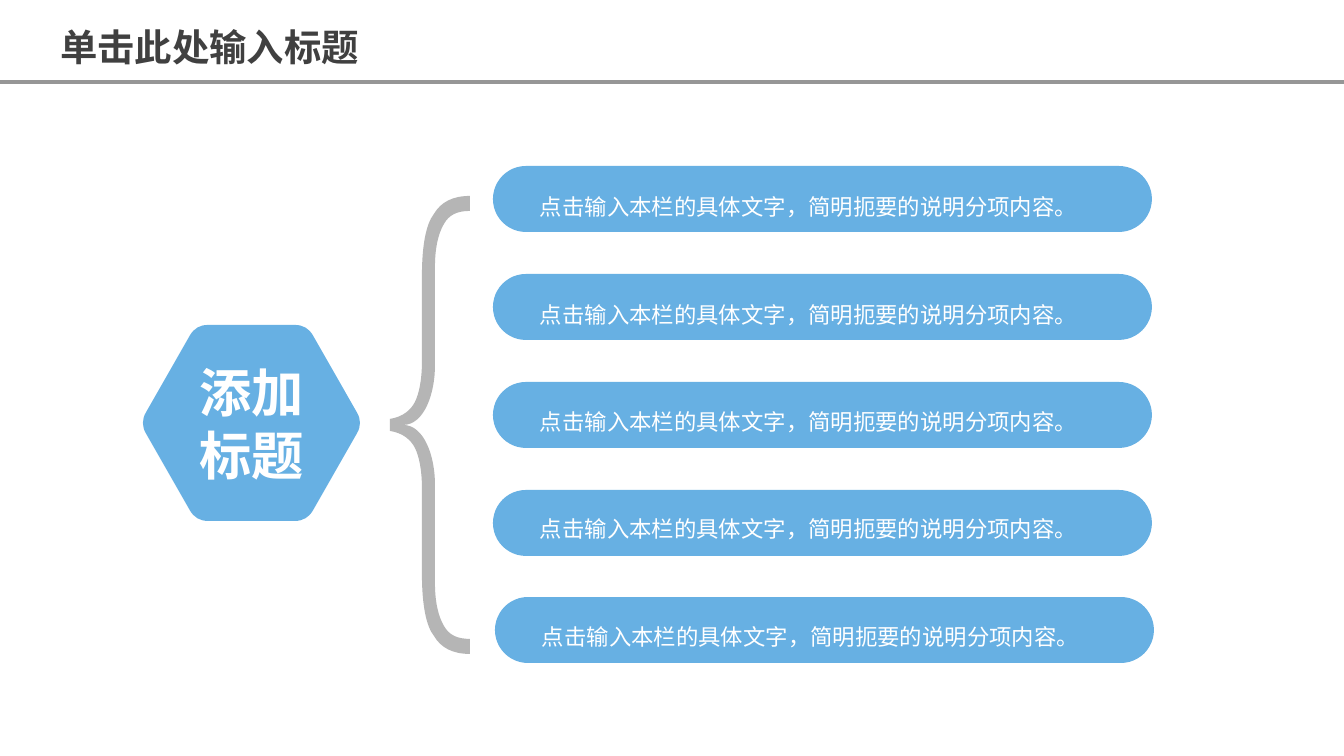
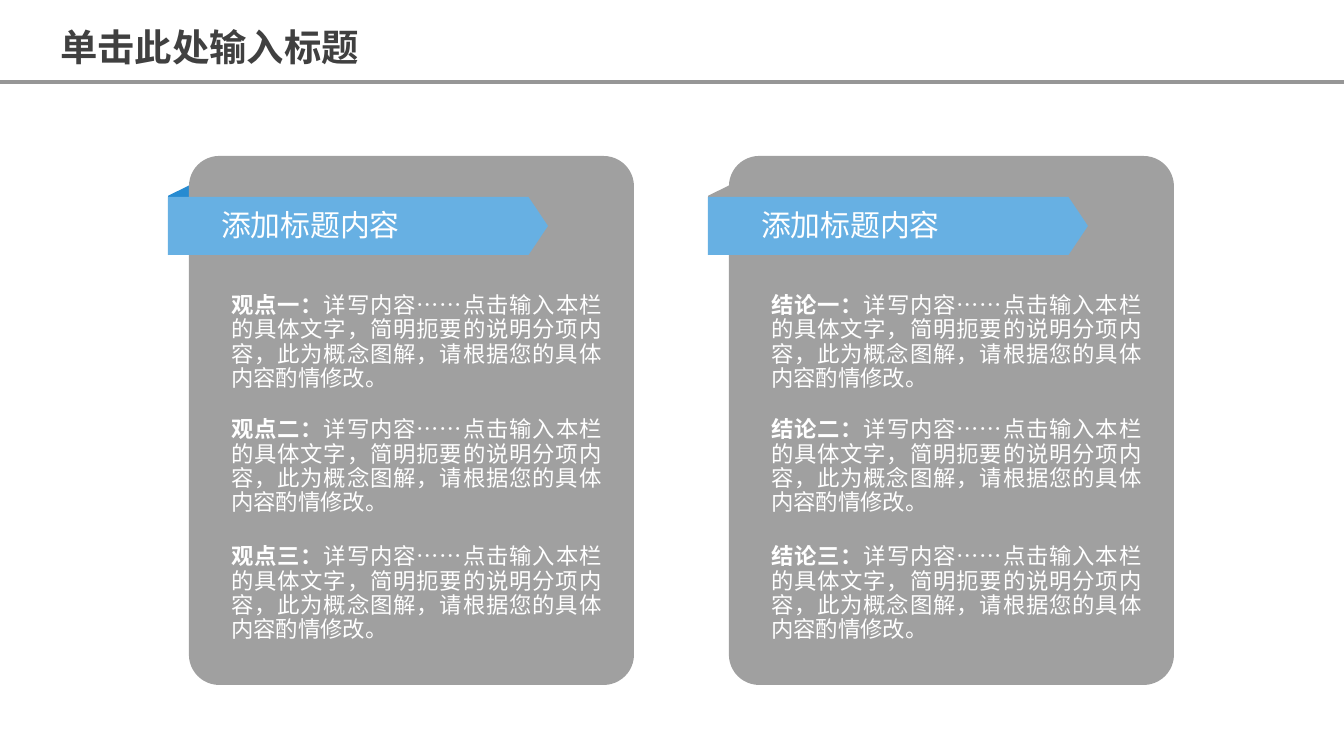
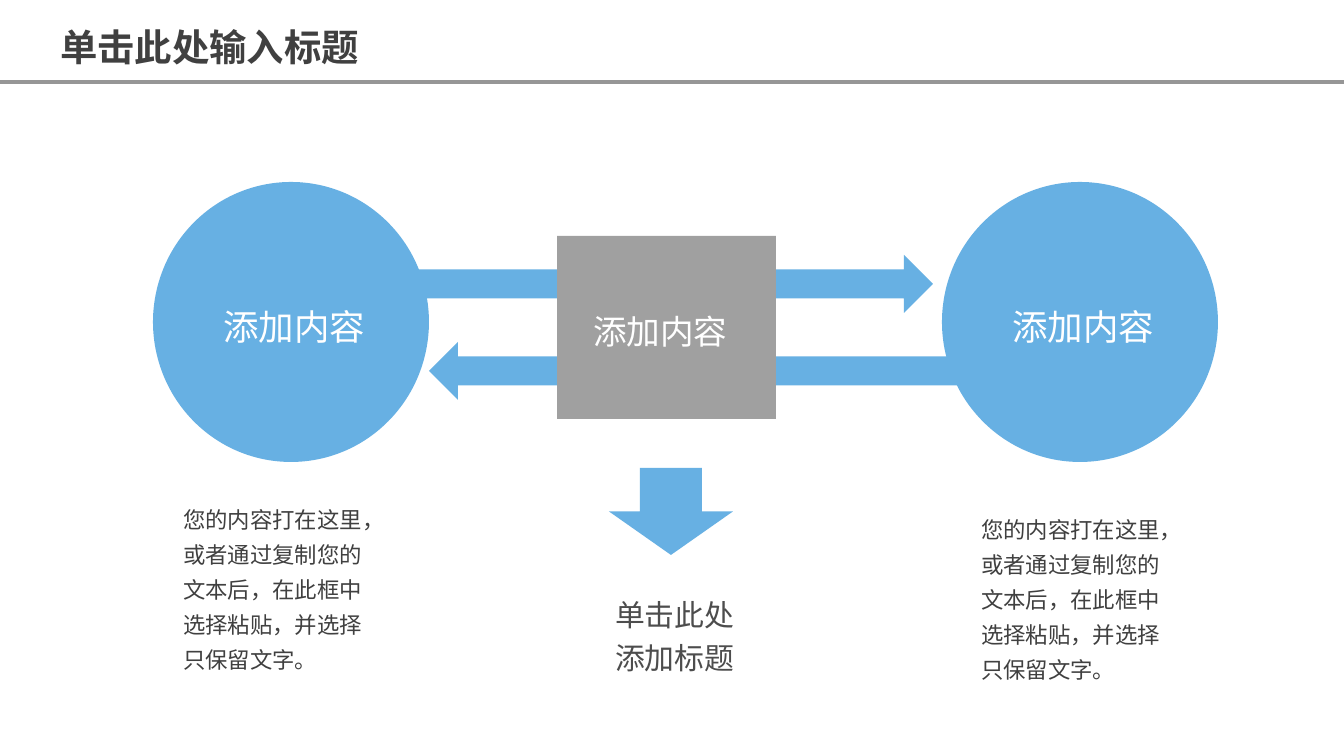
from math import dist

from lxml import etree
from pptx import Presentation
from pptx import util as u
from pptx.dml.color import RGBColor
from pptx.enum import lang, shapes, text
from pptx.oxml.ns import qn

PX = 914400 / 134.4
FONT = "Noto Sans CJK SC"
BLUE, DEEP_BLUE = "67B0E3", "278BD1"
GRAY, BRACE_GRAY, RULE_GRAY = "A0A0A0", "B5B5B5", "969696"
WHITE, INK, CAPTION_INK = "FFFFFF", "404040", "4D4D4D"
INSET = (14, 7)

ITEM = "点击输入本栏的具体文字，简明扼要的说明分项内容。"
DETAIL = "详写内容……点击输入本栏的具体文字，简明扼要的说明分项内容，此为概念图解，请根据您的具体内容酌情修改。"
NOTE = "您的内容打在这里，或者通过复制您的文本后，在此框中选择粘贴，并选择只保留文字。"

HEXAGON = [(140, 423), (196, 325), (307, 325), (363, 423), (307, 521), (196, 521)]
BRACE_MIDDLE = 425
BRACE_HALF = [
    [(403, 425), (425, 425), (435, 392), (435, 366)],
    [(435, 366), (435, 267)],
    [(435, 267), (435, 249), (438, 234), (444, 224)],
    [(444, 224), (449, 215), (457, 211), (470, 211)],
    [(470, 211), (470, 196)],
    [(470, 196), (453, 196), (441, 202), (434, 214)],
    [(434, 214), (426, 224), (422, 246), (422, 276)],
    [(422, 276), (422, 362)],
    [(422, 362), (422, 380), (419, 394), (415, 402)],
    [(415, 402), (411, 410), (403, 417), (390, 419)],
]


def emu(*lengths):
    return [u.Emu(round(length * PX)) for length in lengths]


def color(code):
    return RGBColor.from_string(code)


def paint(shape, fill):
    shape.shadow.inherit = False
    shape.fill.solid()
    shape.fill.fore_color.rgb = color(fill)
    shape.line.fill.background()


def add_block(page, kind, at, fill, adjustments=(), flip=False):
    block = page.shapes.add_shape(kind, *emu(*at))
    for index, value in enumerate(adjustments):
        block.adjustments[index] = value
    if flip:
        block.element.spPr.find(qn("a:xfrm")).set("flipH", "1")
    paint(block, fill)
    return block


def write(frame, runs, size, ink, inset, spacing, align):
    frame.word_wrap = True
    frame.margin_left, frame.margin_top = emu(*inset)
    frame.margin_right, frame.margin_bottom = emu(min(inset[0], INSET[0]), inset[1])
    para = frame.paragraphs[0]
    para.alignment = align
    para.line_spacing = spacing
    for words, bold in runs:
        span = para.add_run()
        span.text = words
        font = span.font
        font.name, font.size, font.bold = FONT, u.Pt(size), bold
        font.color.rgb = color(ink)
        font.language_id = lang.MSO_LANGUAGE_ID.SIMPLIFIED_CHINESE
        east_asian = etree.Element(qn("a:ea"), typeface=FONT)
        font._element.find(qn("a:latin")).addnext(east_asian)


def add_text(page, at, runs, size, ink, inset=(0, 0), spacing=None, align=text.PP_ALIGN.LEFT):
    box = page.shapes.add_textbox(*emu(*at))
    write(box.text_frame, runs, size, ink, inset, spacing, align)
    box.text_frame.auto_size = text.MSO_AUTO_SIZE.SHAPE_TO_FIT_TEXT


def add_label_block(page, kind, at, fill, size, indent):
    block = add_block(page, kind, at, fill)
    block.text_frame.vertical_anchor = text.MSO_ANCHOR.MIDDLE
    write(block.text_frame, [("添加内容", False)], size, WHITE, (indent, 7), 1.2, text.PP_ALIGN.LEFT)


def between(start, end, share):
    return tuple(a + (b - a) * share for a, b in zip(start, end))


def cubic(start, control, end):
    return [start, between(start, control, 2 / 3), between(end, control, 2 / 3), end]


def rounded(corners, cut):
    segments = []
    for index, corner in enumerate(corners):
        before, after = corners[index - 1], corners[(index + 1) % len(corners)]
        start = between(corner, before, cut / dist(corner, before))
        end = between(corner, after, cut / dist(corner, after))
        first, second = between(start, corner, 0.5), between(corner, end, 0.5)
        middle = between(first, second, 0.5)
        if segments:
            segments.append([segments[-1][-1], start])
        segments += [cubic(start, first, middle), cubic(middle, second, end)]
    return segments


def add_outline(page, segments, fill):
    builder = page.shapes.build_freeform(*emu(*segments[0][0]))
    for segment in segments:
        builder.add_line_segments([emu(*point) for point in segment[1:]], close=False)
    builder.add_line_segments([], close=True)
    outline = builder.convert_to_shape()
    lines = iter(list(outline.element.iter(qn("a:lnTo"))))
    for segment in segments:
        first, *others = [next(lines) for point in segment[1:]]
        if others:
            first.tag = qn("a:cubicBezTo")
            for line in others:
                first.append(line[0])
                line.getparent().remove(line)
    paint(outline, fill)


def add_page(deck):
    page = deck.slides.add_slide(deck.slide_layouts[6])
    rule = page.shapes.add_connector(shapes.MSO_CONNECTOR.STRAIGHT, *emu(0, 82, 1344, 82))
    rule.line.color.rgb = color(RULE_GRAY)
    rule.line.width = u.Pt(1.75)
    etree.SubElement(rule.element.spPr, qn("a:effectLst"))
    add_text(page, (46, 8, 351, 67), [("单击此处输入标题", True)], 20, INK, INSET, 1.2)
    return page


def add_brace(page):
    lower = [[(x, 2 * BRACE_MIDDLE - y) for x, y in reversed(segment)] for segment in reversed(BRACE_HALF)]
    tip = [BRACE_HALF[-1][-1], lower[0][0]]
    add_outline(page, BRACE_HALF + [tip] + lower, BRACE_GRAY)


def add_list_page(deck):
    page = add_page(deck)
    add_outline(page, rounded(HEXAGON, 12), BLUE)
    add_text(page, (185, 360, 133, 126), [("添加标题", True)], 28, WHITE, align=text.PP_ALIGN.CENTER)
    add_brace(page)
    for row, (left, top) in enumerate([(493, 166), (493, 274), (493, 382), (493, 490), (495, 597)]):
        add_block(page, shapes.MSO_SHAPE.ROUNDED_RECTANGLE, (left, top, 659, 66), BLUE, [0.5])
        add_text(page, (left + 47, 188 + round(107.5 * row), 552, 30), [(ITEM, False)], 12, WHITE,
                 spacing=1.2, align=text.PP_ALIGN.JUSTIFY)


def add_card(page, left, topic, fold_fill):
    fold = add_block(page, shapes.MSO_SHAPE.FLOWCHART_DATA, (left - 43, 203, 74, 30), fold_fill, flip=True)
    fold.rotation = 270
    add_block(page, shapes.MSO_SHAPE.ROUNDED_RECTANGLE, (left, 156, 445, 529), GRAY, [0.068])
    add_block(page, shapes.MSO_SHAPE.PENTAGON, (left - 21, 197, 380, 58), BLUE, [0.335])
    add_text(page, (left + 32, 207, 250, 36), [("添加标题内容", False)], 16, WHITE)
    for number, top in zip("一二三", (294, 418, 545)):
        runs = [(f"{topic}{number}：", True), (DETAIL, False)]
        add_text(page, (left + 42, top, 371, 98), runs, 12, WHITE,
                 spacing=u.Pt(13), align=text.PP_ALIGN.JUSTIFY)


def add_cards_page(deck):
    page = add_page(deck)
    add_card(page, 189, "观点", DEEP_BLUE)
    add_card(page, 729, "结论", GRAY)


def add_exchange_page(deck):
    page = add_page(deck)
    arrow = shapes.MSO_SHAPE.RIGHT_ARROW
    add_block(page, arrow, (410, 255, 523, 58), BLUE, [0.5, 0.5])
    add_block(page, arrow, (429, 342, 542, 58), BLUE, [0.5, 0.5], flip=True)
    for left in (153, 942):
        add_label_block(page, shapes.MSO_SHAPE.OVAL, (left, 182, 276, 280), BLUE, 19, 30)
    add_label_block(page, shapes.MSO_SHAPE.RECTANGLE, (557, 236, 219, 183), GRAY, 18, 36)
    add_block(page, shapes.MSO_SHAPE.DOWN_ARROW, (609, 468, 124, 87), BLUE, [0.5, 0.5])
    for left, top in ((169, 491), (967, 501)):
        add_text(page, (left, top, 228, 195), [(NOTE, False)], 12, INK, INSET, 1.3)
    add_text(page, (601, 583, 173, 101), [("单击此处添加标题", False)], 16, CAPTION_INK, INSET, 1.2)


def main():
    deck = Presentation()
    deck.slide_width, deck.slide_height = emu(1344, 756)
    add_list_page(deck)
    add_cards_page(deck)
    add_exchange_page(deck)
    deck.save("out.pptx")


if __name__ == "__main__":
    main()
